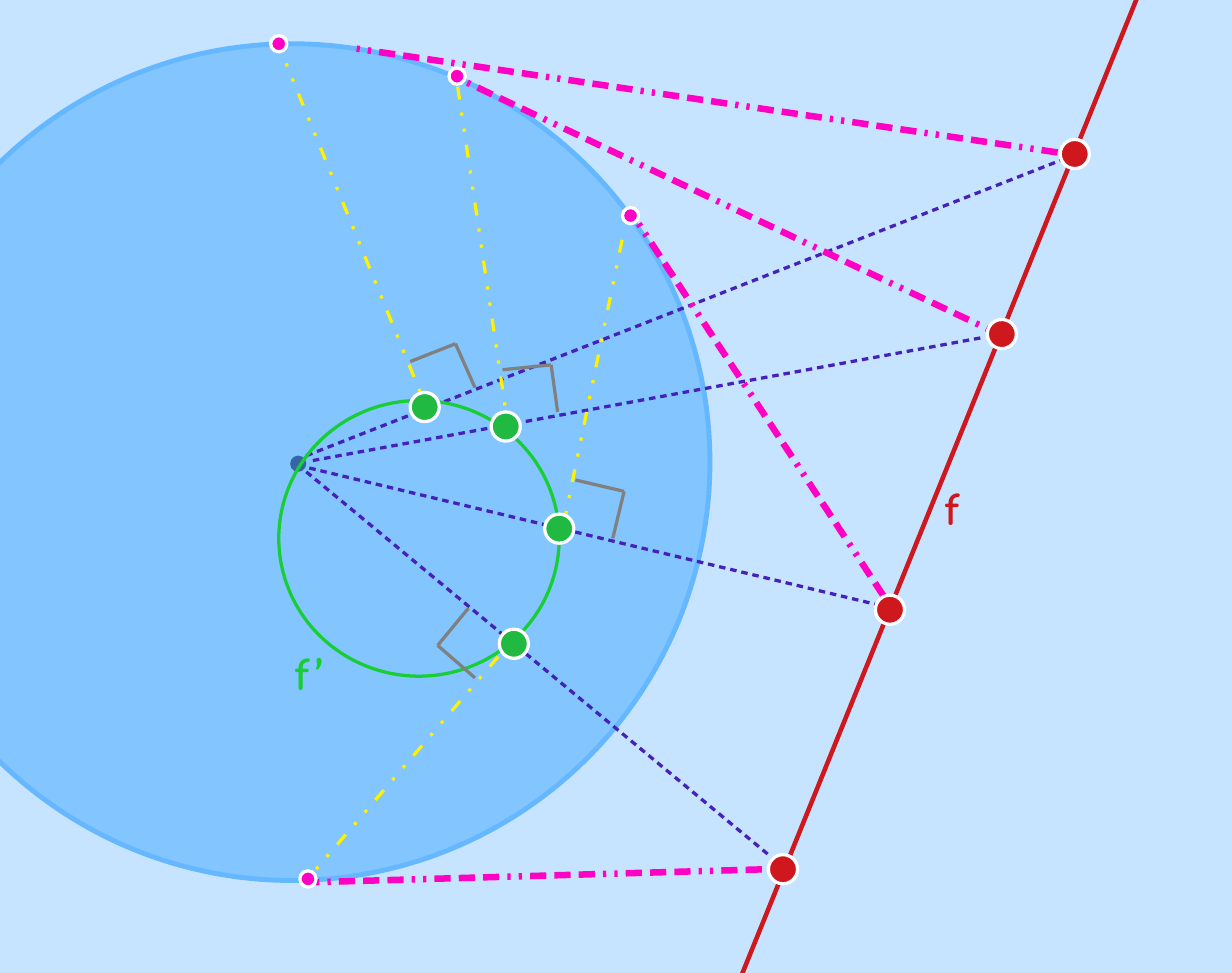
from collections import namedtuple

from lxml.etree import SubElement
from pptx import Presentation
from pptx.dml.color import RGBColor
from pptx.enum.shapes import MSO_CONNECTOR as Connector, MSO_SHAPE as Shape
from pptx.enum.text import MSO_AUTO_SIZE as AutoSize
from pptx.oxml.ns import qn
from pptx.util import Inches, Pt

SKY = RGBColor(0xC6, 0xE4, 0xFF)
DISC_BLUE = RGBColor(0x82, 0xC5, 0xFF)
RIM_BLUE = RGBColor(0x65, 0xB7, 0xFF)
POLE_BLUE = RGBColor(0x34, 0x65, 0xA4)
VIOLET = RGBColor(0x45, 0x20, 0xB9)
MAGENTA = RGBColor(0xFF, 0x00, 0xC4)
YELLOW = RGBColor(0xFF, 0xF2, 0x00)
RED = RGBColor(0xCE, 0x18, 0x1E)
GREEN = RGBColor(0x20, 0xB9, 0x41)
BRIGHT_GREEN = RGBColor(0x18, 0xCE, 0x34)
GRAY = RGBColor(0x80, 0x80, 0x80)
WHITE = RGBColor(0xFF, 0xFF, 0xFF)

THIN, THICK, RIM = 1.45, 2.89, 2.15
# Dash patterns: (length, gap) in percent of the line width
FINE_DASH = [(200, 150)]
DOT_DOT_DASH = [(100, 400)] * 2 + [(400, 400)]
TWO_DOTS_THREE_DASHES = [(50, 125)] * 2 + [(250, 125)] * 3

Box = namedtuple("Box", "left top width height")


def px(length):
    return Inches(length / 100)


def add_line(shapes, box, ends, color, width=THIN, dashes=()):
    x1, y1, x2, y2 = ends
    line = shapes.add_connector(
        Connector.STRAIGHT, px(box.left + x1), px(box.top + y1),
        px(box.left + x2), px(box.top + y2))
    line.line.color.rgb = color
    line.line.width = Pt(width)
    if dashes:
        pattern = SubElement(line.line._get_or_add_ln(), qn("a:custDash"))
        for length, gap in dashes:
            SubElement(pattern, qn("a:ds"), d=str(length * 1000), sp=str(gap * 1000))
    SubElement(line._element.spPr, qn("a:effectLst"))


def add_ellipse(slide, box, fill=None, rim=None, width=THIN):
    ellipse = slide.shapes.add_shape(Shape.OVAL, *map(px, box))
    ellipse.shadow.inherit = False
    if fill is None:
        ellipse.fill.background()
    else:
        ellipse.fill.solid()
        ellipse.fill.fore_color.rgb = fill
    if rim is None:
        ellipse.line.fill.background()
    else:
        ellipse.line.color.rgb = rim
        ellipse.line.width = Pt(width)


def add_points(slide, box, corners, size, fill, rim=WHITE):
    for x, y in corners:
        add_ellipse(slide, Box(box.left + x, box.top + y, size, size), fill, rim)


def add_text(slide, box, text, *, color, sizes, font="Comfortaa", bold=True):
    """Write text with one size for each character."""
    label = slide.shapes.add_textbox(*map(px, box))
    frame = label.text_frame
    frame.word_wrap = True
    frame.auto_size = AutoSize.SHAPE_TO_FIT_TEXT
    for letter, size in zip(text, sizes):
        run = frame.paragraphs[0].add_run()
        run.text = letter
        run.font.name = font
        run.font.size = Pt(size)
        run.font.bold = bold
        run.font.color.rgb = color


def draw_disc(slide, box):
    add_ellipse(slide, box, DISC_BLUE, RIM_BLUE, RIM)


def draw_rays(slide, box):
    # Pole and the rays from it to the points of line f
    add_line(slide.shapes, box, (184, 287, 550, 375), VIOLET, THIN, FINE_DASH)
    add_points(slide, box, [(179, 281)], 10, POLE_BLUE, None)
    for ray in [(193, 284, 607, 208), (189, 281, 654, 99), (189, 291, 474, 527)]:
        add_line(slide.shapes, box, ray, VIOLET, THIN, FINE_DASH)


def draw_tangents(slide, box):
    # Tangents from line f, perpendiculars to the rays, points of contact
    for tangent in [(282, 48, 616, 206), (220, 30, 659, 95),
                    (195, 544, 474, 536), (394, 138, 550, 375)]:
        add_line(slide.shapes, box, tangent, MAGENTA, THICK, TWO_DOTS_THREE_DASHES)
    for perpendicular in [(313, 260, 282, 51), (195, 536, 315, 396),
                          (263, 251, 174, 33), (349, 317, 385, 142)]:
        add_line(slide.shapes, box, perpendicular, YELLOW, THIN, DOT_DOT_DASH)
    add_points(slide, box, [(167, 22), (384, 128), (185, 537), (277, 42)], 10, MAGENTA)


def draw_line_f(slide, box):
    add_line(slide.shapes, box, (454, 610, 707, -15), RED, 0)
    add_points(slide, box, [(609, 197), (654, 86), (474, 527), (540, 367)], 18, RED)
    add_text(slide, Box(box.left + 573, box.top + 294, 60, 306), "f",
             color=RED, sizes=[18])


def draw_inverse_circle(slide, box):
    add_ellipse(slide, box, rim=BRIGHT_GREEN)
    add_points(slide, box, [(164, 70), (131, 7), (81, -5), (136, 141)], 18, GREEN)
    add_text(slide, Box(box.left, box.top + 149, 60, 306), "f ’",
             color=BRIGHT_GREEN, sizes=[18, 10, 18])


def draw_right_angles(slide, box):
    # Each mark: first end, corner, second end
    for start, corner, end in [
            ((293, 418), (270, 398), (289, 375)),
            ((355, 296), (385, 303), (378, 332)),
            ((310, 228), (340, 225), (344, 254)),
            ((253, 223), (281, 212), (293, 239))]:
        mark = slide.shapes.add_group_shape()
        add_line(mark.shapes, box, start + corner, GRAY)
        add_line(mark.shapes, box, corner + end, GRAY)


def main():
    deck = Presentation()
    deck.slide_width, deck.slide_height = px(760), px(600)
    slide = deck.slides.add_slide(deck.slide_layouts[6])
    slide.background.fill.solid()
    slide.background.fill.fore_color.rgb = SKY

    page = Box(0, 0, 760, 600)
    draw_disc(slide, Box(-78, 27, 516, 516))
    draw_rays(slide, page)
    draw_tangents(slide, page)
    draw_line_f(slide, page)
    draw_inverse_circle(slide, Box(172, 247, 173, 170))
    draw_right_angles(slide, page)
    deck.save("out.pptx")


if __name__ == "__main__":
    main()
